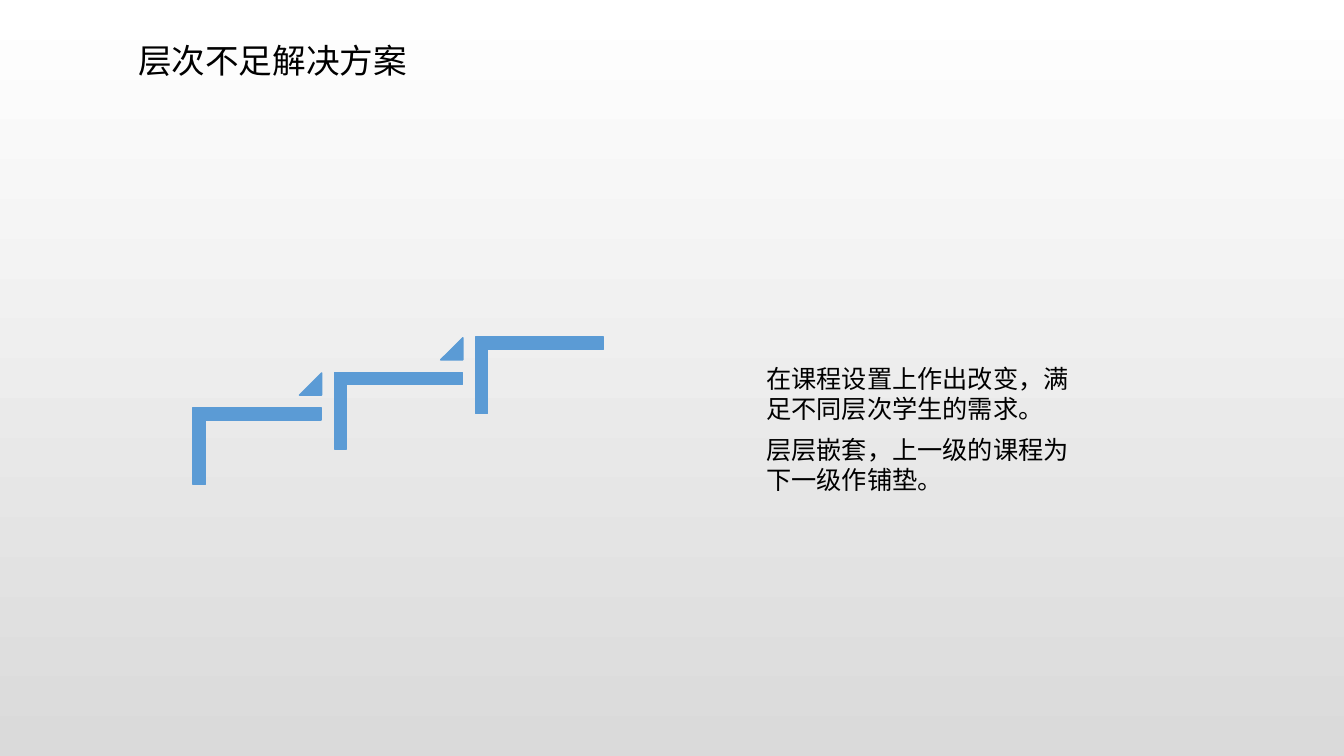
from pptx import Presentation
from pptx.dml.color import RGBColor
from pptx.enum.shapes import MSO_SHAPE
from pptx.enum.text import MSO_ANCHOR, PP_ALIGN
from pptx.oxml.ns import qn
from pptx.util import Inches, Pt
from lxml import etree

CORNER = MSO_SHAPE.CORNER
TRIANGLE = MSO_SHAPE.ISOSCELES_TRIANGLE
LEFT = PP_ALIGN.LEFT
TOP = MSO_ANCHOR.TOP

COLORS = {"step": "5B9BD5", "text": "000000", "bg_top": "FFFFFF", "bg_bottom": "DADADA"}
FONT = "Arial"
TITLE = "层次不足解决方案"
POINTS = [
    "在课程设置上作出改变，满足不同层次学生的需求。",
    "层层嵌套，上一级的课程为下一级作铺垫。",
]
STEP_COUNT = 3
STEP_DX, STEP_DY = 1.4, -0.35


def color(name):
    """Return the named colour."""
    return RGBColor.from_string(COLORS[name])


def set_background(s):
    """Fill the slide with a gradient running from top to bottom."""
    fill = s.background.fill
    fill.gradient()
    fill.gradient_angle = 270
    for stop, name in zip(fill.gradient_stops, ("bg_top", "bg_bottom")):
        stop.color.rgb = color(name)


def fill_placeholder(sp, box, lines, size, gap=0):
    """Place a placeholder and write its lines as plain left-aligned text."""
    sp.left, sp.top, sp.width, sp.height = (Inches(v) for v in box)
    tf = sp.text_frame
    tf.text = "\n".join(lines)
    tf.word_wrap = True
    tf.vertical_anchor = TOP
    for i, p in enumerate(tf.paragraphs):
        p.alignment = LEFT
        p.space_before = Pt(gap if i else 0)
        pPr = p._p.get_or_add_pPr()
        pPr.set("marL", "0")
        pPr.set("indent", "0")
        etree.SubElement(pPr, qn("a:buNone"))
        for r in p.runs:
            r.font.name = FONT
            r.font.size = Pt(size)
            r.font.color.rgb = color("text")


def add_step_shape(s, kind, box, adjustments, rotation=0):
    """Add one flat blue part of the staircase."""
    sp = s.shapes.add_shape(kind, *(Inches(v) for v in box))
    sp.rotation = rotation
    for i, value in enumerate(adjustments):
        sp.adjustments[i] = value
    sp.shadow.inherit = False
    sp.fill.solid()
    sp.fill.fore_color.rgb = color("step")
    sp.line.color.rgb = color("step")
    sp.line.width = Pt(1)


def add_staircase(s):
    """Draw the rising corners, with a triangle between neighbours."""
    for i in range(STEP_COUNT):
        dx, dy = i * STEP_DX, i * STEP_DY
        add_step_shape(s, CORNER, (2.17 + dx, 3.79 + dy, 0.76, 1.27), (0.16, 0.16), 90)
        if i < STEP_COUNT - 1:
            add_step_shape(s, TRIANGLE, (2.97 + dx, 3.7 + dy, 0.22, 0.22), (1,))


def main():
    """Build the slide and save it."""
    prs = Presentation()
    prs.slide_width, prs.slide_height = Inches(13.33), Inches(7.5)
    s = prs.slides.add_slide(prs.slide_layouts[1])
    set_background(s)
    add_staircase(s)
    fill_placeholder(s.placeholders[1], (7.5, 3.55, 3.4, 1.42), POINTS, 18, gap=8)
    fill_placeholder(s.shapes.title, (1.27, 0.35, 4.9, 0.5), [TITLE], 24)
    prs.save("out.pptx")


main()
